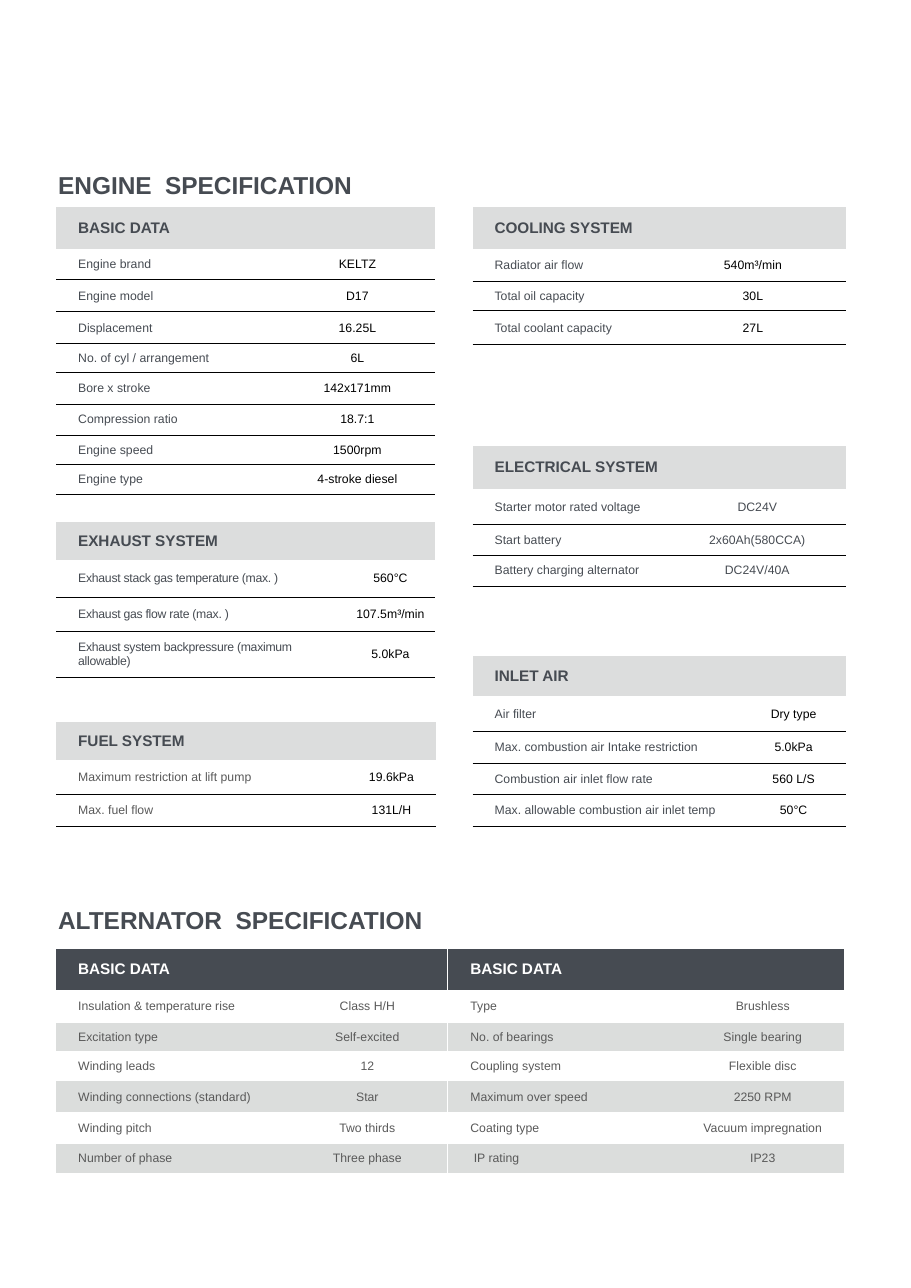
from dataclasses import dataclass

from lxml import etree
from pptx import Presentation
from pptx.dml.color import RGBColor
from pptx.enum import text
from pptx.oxml import ns
from pptx.util import Inches, Pt

SLATE, GREY, BLACK, WHITE = "464B52", "595959", "000000", "FFFFFF"
HEADER_GREY, BAND_GREY = "DCDDDD", "DBDDDC"
LEFT, RIGHT, ALTERNATOR_RIGHT = 0.51, 4.29, 4.07
ALTERNATOR_HEIGHTS = [0.38, 0.29, 0.27, 0.26, 0.29, 0.28, 0.27]


@dataclass
class SpecTable:
    heading: str
    left: float
    top: float
    widths: tuple[float, float]
    heights: list[float]
    rows: list[tuple[str, str]]
    label_color: str = SLATE
    value_color: str = BLACK
    label_spacing: float = 0
    banded: bool = False


ENGINE = [
    SpecTable("BASIC DATA", LEFT, 1.88, (2.03, 1.41),
              [0.38, 0.28, 0.29, 0.29, 0.26, 0.29, 0.28, 0.27, 0.27],
              [("Engine brand", "KELTZ"), ("Engine model", "D17"),
               ("Displacement", "16.25L"), ("No. of cyl / arrangement", "6L"),
               ("Bore x stroke", "142x171mm"), ("Compression ratio", "18.7:1"),
               ("Engine speed", "1500rpm"), ("Engine type", "4-stroke diesel")]),
    SpecTable("EXHAUST SYSTEM", LEFT, 4.74, (2.63, 0.81), [0.34, 0.34, 0.31, 0.42],
              [("Exhaust stack gas temperature (max. )", "560°C"),
               ("Exhaust gas flow rate (max. )", "107.5m³/min"),
               ("Exhaust system backpressure (maximum allowable)", "5.0kPa")],
              label_spacing=-0.2),
    SpecTable("FUEL SYSTEM", LEFT, 6.55, (2.64, 0.81), [0.35, 0.31, 0.29],
              [("Maximum restriction at lift pump", "19.6kPa"),
               ("Max. fuel flow", "131L/H")], label_color=GREY),
    SpecTable("COOLING SYSTEM", RIGHT, 1.88, (1.7, 1.69), [0.38, 0.29, 0.27, 0.31],
              [("Radiator air flow", "540m³/min"), ("Total oil capacity", "30L"),
               ("Total coolant capacity", "27L")]),
    SpecTable("ELECTRICAL SYSTEM", RIGHT, 4.05, (1.78, 1.61), [0.39, 0.32, 0.28, 0.28],
              [("Starter motor rated voltage", "DC24V"),
               ("Start battery", "2x60Ah(580CCA)"),
               ("Battery charging alternator", "DC24V/40A")], value_color=SLATE),
    SpecTable("INLET AIR", RIGHT, 5.95, (2.44, 0.95), [0.37, 0.32, 0.29, 0.28, 0.29],
              [("Air filter", "Dry type"),
               ("Max. combustion air Intake restriction", "5.0kPa"),
               ("Combustion air inlet flow rate", "560 L/S"),
               ("Max. allowable combustion air inlet temp", "50°C")]),
]
ALTERNATOR = [
    SpecTable("BASIC DATA", LEFT, 8.61, (2.1, 1.45), ALTERNATOR_HEIGHTS,
              [("Insulation & temperature rise", "Class H/H"),
               ("Excitation type", "Self-excited"), ("Winding leads", "12"),
               ("Winding connections (standard)", "Star"),
               ("Winding pitch", "Two thirds"), ("Number of phase", "Three phase")],
              GREY, GREY, banded=True),
    SpecTable("BASIC DATA", ALTERNATOR_RIGHT, 8.61, (2.12, 1.47), ALTERNATOR_HEIGHTS,
              [("Type", "Brushless"), ("No. of bearings", "Single bearing"),
               ("Coupling system", "Flexible disc"), ("Maximum over speed", "2250 RPM"),
               ("Coating type", "Vacuum impregnation"), (" IP rating", "IP23")],
              GREY, GREY, banded=True),
]


def rgb(color: str) -> RGBColor:
    return RGBColor.from_string(color)


def write(tf, content: str, *, size: float, color: str, bold: bool = False,
          align=text.PP_ALIGN.LEFT, line_spacing: float | None = None,
          spacing: float = 0) -> None:
    p = tf.paragraphs[0]
    p.alignment = align
    p.line_spacing = line_spacing
    r = p.add_run()
    r.text = content
    r.font.name, r.font.size, r.font.bold = "Arial", Pt(size), bold
    r.font.color.rgb = rgb(color)
    if spacing:
        r.font._element.set("spc", str(round(spacing * 100)))


def set_border(cell, side: str, color: str | None, width: float) -> None:
    """Draw one cell edge (L, R, T or B), or clear it when color is None."""
    ln = etree.SubElement(cell._tc.get_or_add_tcPr(), ns.qn(f"a:ln{side}"))
    if color is None:
        etree.SubElement(ln, ns.qn("a:noFill"))
        return
    ln.set("w", str(Pt(width)))
    fill = etree.SubElement(ln, ns.qn("a:solidFill"))
    etree.SubElement(fill, ns.qn("a:srgbClr")).set("val", color)


def style_cell(cell, row: int, column: int, spec: SpecTable) -> None:
    rule, width = (WHITE, 1) if spec.banded else (BLACK, 0.5)
    edges = {"L": None, "R": None, "T": rule if row > 1 else None,
             "B": rule if row else None}
    for side, color in edges.items():
        set_border(cell, side, color, width)
    if row == 0:
        fill = SLATE if spec.banded else HEADER_GREY
    elif spec.banded:
        fill = WHITE if row % 2 else BAND_GREY
    else:
        fill = None
    if fill:
        cell.fill.solid()
        cell.fill.fore_color.rgb = rgb(fill)
    else:
        cell.fill.background()
    cell.vertical_anchor = text.MSO_ANCHOR.MIDDLE
    cell.margin_left = Inches(0.09 if column else 0.2)
    cell.margin_right = Inches(0.09)
    cell.margin_top = cell.margin_bottom = Inches(0.05)


def add_spec_table(s, spec: SpecTable) -> None:
    table = s.shapes.add_table(
        len(spec.heights), 2, Inches(spec.left), Inches(spec.top),
        Inches(sum(spec.widths)), Inches(sum(spec.heights))).table
    table.first_row = table.horz_banding = False
    for column, width in zip(table.columns, spec.widths):
        column.width = Inches(width)
    for i, height in enumerate(spec.heights):
        table.rows[i].height = Inches(height)
        for j in range(2):
            style_cell(table.cell(i, j), i, j, spec)

    header = table.cell(0, 0)
    header.merge(table.cell(0, 1))
    write(header.text_frame, spec.heading, size=10, bold=True,
          color=WHITE if spec.banded else SLATE)
    for i, (label, value) in enumerate(spec.rows, start=1):
        write(table.cell(i, 0).text_frame, label, size=8, color=spec.label_color,
              spacing=spec.label_spacing)
        write(table.cell(i, 1).text_frame, value, size=8, color=spec.value_color,
              align=text.PP_ALIGN.CENTER)


def add_title(s, content: str, top: float) -> None:
    tf = s.shapes.add_textbox(Inches(0.43), Inches(top), Inches(3.7), Inches(0.46)).text_frame
    tf.word_wrap = True
    write(tf, content, size=16, color=SLATE, bold=True, line_spacing=1.2)


def main() -> None:
    prs = Presentation()
    prs.slide_width, prs.slide_height = Inches(8.27), Inches(11.69)
    s = prs.slides.add_slide(prs.slide_layouts[6])
    add_title(s, "ENGINE  SPECIFICATION", 1.44)
    add_title(s, "ALTERNATOR  SPECIFICATION", 8.11)
    for spec in ENGINE + ALTERNATOR:
        add_spec_table(s, spec)
    prs.save("out.pptx")


if __name__ == "__main__":
    main()
